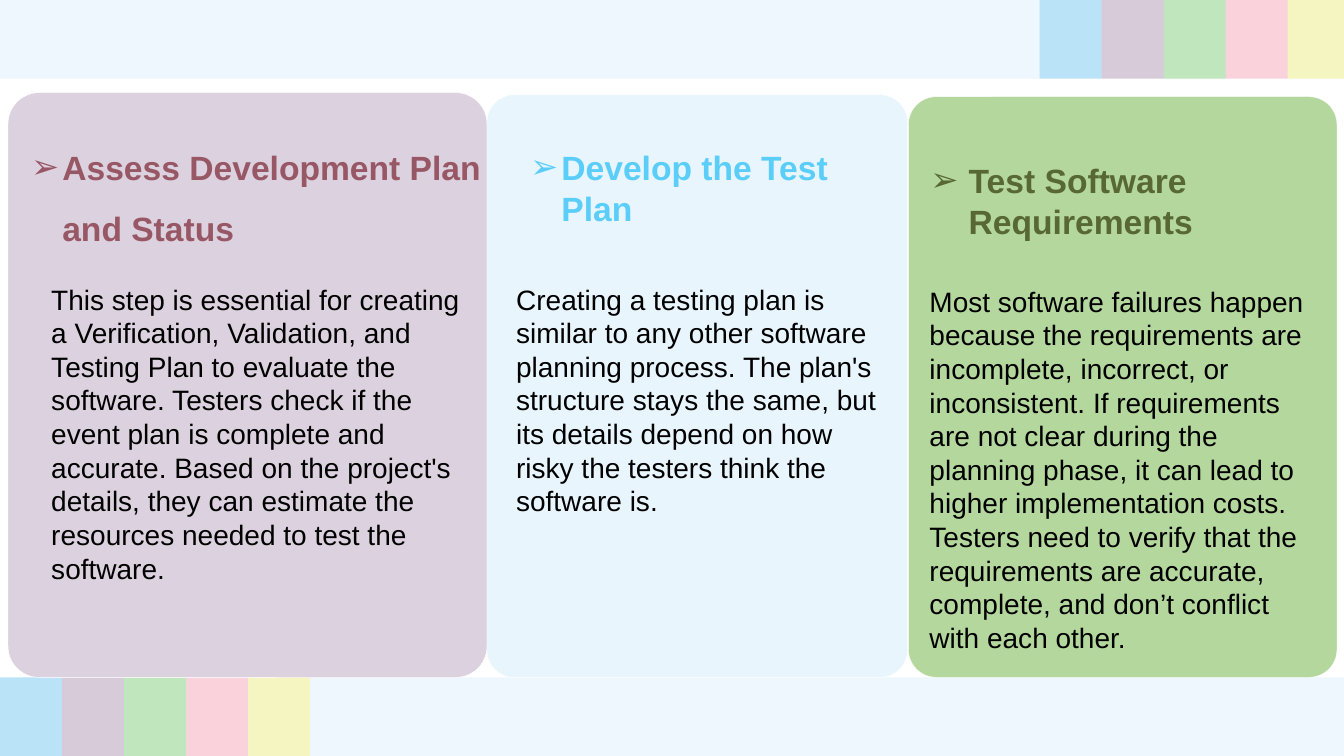
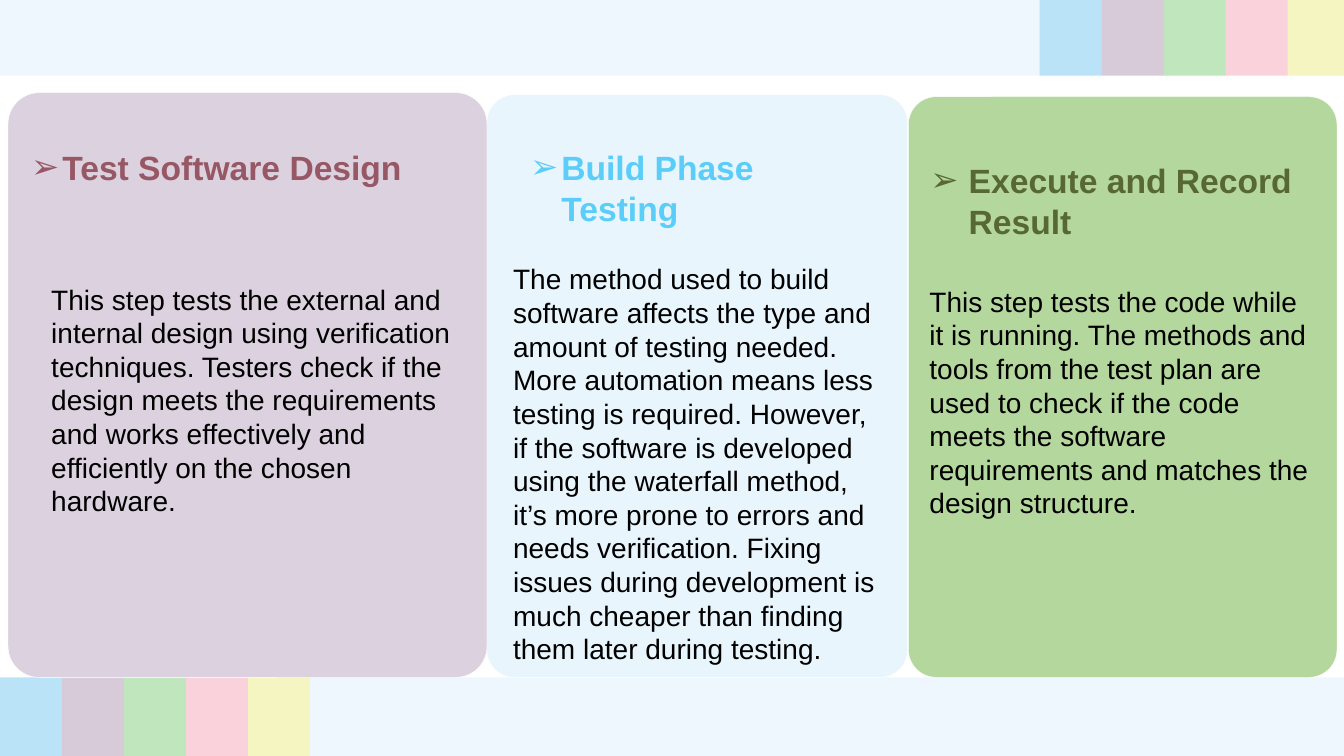
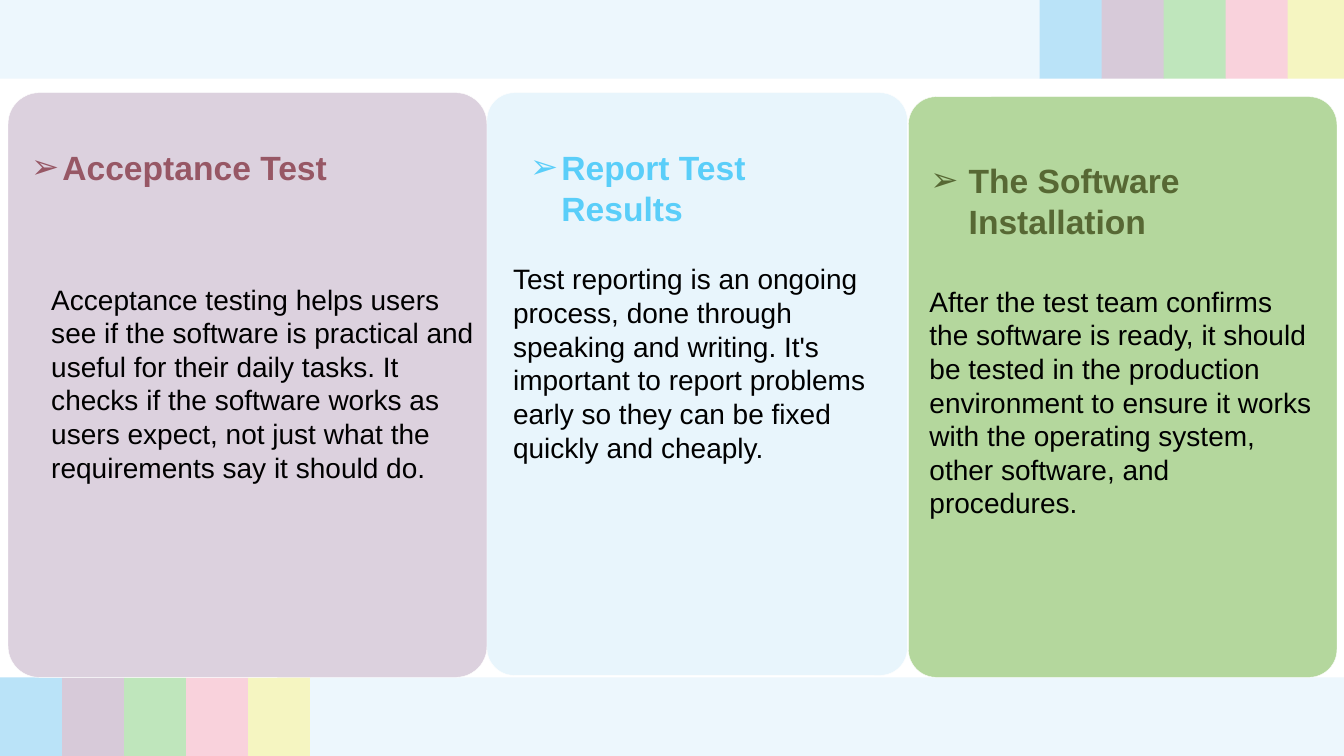
from pptx import Presentation
from pptx.dml.color import RGBColor
from pptx.enum.shapes import MSO_SHAPE
from pptx.enum.text import MSO_AUTO_SIZE
from pptx.oxml.ns import qn
from pptx.util import Inches, Pt
from lxml import etree

RECTANGLE = MSO_SHAPE.RECTANGLE
ROUNDED = MSO_SHAPE.ROUNDED_RECTANGLE
GROW = MSO_AUTO_SIZE.SHAPE_TO_FIT_TEXT

# Colours
WHITE = RGBColor(0xFF, 0xFF, 0xFF)
BLACK = RGBColor(0x00, 0x00, 0x00)
ICE = RGBColor(0xED, 0xF7, 0xFD)
SKY = RGBColor(0xBA, 0xE3, 0xF8)
LILAC = RGBColor(0xD7, 0xCA, 0xD9)
MINT = RGBColor(0xBF, 0xE6, 0xBC)
PINK = RGBColor(0xF9, 0xD2, 0xDC)
CREAM = RGBColor(0xF5, 0xF5, 0xC1)
PALE_BLUE = RGBColor(0xE4, 0xF4, 0xFC)
GREEN = RGBColor(0xA8, 0xD0, 0x8C)
MAROON = RGBColor(0x97, 0x57, 0x65)
BRIGHT_BLUE = RGBColor(0x5A, 0xCE, 0xF9)
OLIVE = RGBColor(0x57, 0x68, 0x34)

# Bands
STRIPES = (SKY, LILAC, MINT, PINK, CREAM)
STRIPE_WIDTH = 0.62
STRIPE_STEP = 0.615
BAND_HEIGHT = 0.78
BAND_WIDTH = 10.31
BOTTOM_BAND = 6.72

# Columns: card, heading and body boxes as left, top, width, height
COLUMNS = (
    dict(card=(0.08, 0.92, 4.75, 5.8), fill=LILAC,
         heading=(0.21, 1.21, 4.92, 1.31), color=MAROON, indent=0.31, spacing=1.5,
         body=(0.41, 2.75, 4.42, 3.13)),
    dict(card=(4.83, 0.94, 4.17, 5.78), fill=PALE_BLUE,
         heading=(5.16, 1.41, 3.57, 0.91), color=BRIGHT_BLUE, indent=0.31, spacing=None,
         body=(4.99, 2.55, 3.92, 3.13)),
    dict(card=(9.01, 0.96, 4.25, 5.76), fill=GREEN,
         heading=(9.13, 1.54, 4.06, 0.91), color=OLIVE, indent=0.38, spacing=None,
         body=(9.12, 2.77, 4.01, 3.8)),
)

# Slides: three (heading, body) pairs, and what differs from the usual places
PAGES = (
    dict(
        steps=(
            ("Assess Development Plan and Status",
             "This step is essential for creating a Verification, Validation, and Testing "
             "Plan to evaluate the software. Testers check if the event plan is complete and "
             "accurate. Based on the project's details, they can estimate the resources "
             "needed to test the software."),
            ("Develop the Test Plan",
             "Creating a testing plan is similar to any other software planning process. The "
             "plan's structure stays the same, but its details depend on how risky the "
             "testers think the software is."),
            ("Test Software Requirements",
             "Most software failures happen because the requirements are incomplete, "
             "incorrect, or inconsistent. If requirements are not clear during the planning "
             "phase, it can lead to higher implementation costs. Testers need to verify that "
             "the requirements are accurate, complete, and don’t conflict with each other."),
        ),
        middle=dict(body=(5.02, 2.75, 3.92, 3.13)),
    ),
    dict(
        steps=(
            ("Test Software Design",
             "This step tests the external and internal design using verification "
             "techniques. Testers check if the design meets the requirements and works "
             "effectively and efficiently on the chosen hardware."),
            ("Build Phase Testing",
             "The method used to build software affects the type and amount of testing "
             "needed. More automation means less testing is required. However, if the "
             "software is developed using the waterfall method, it’s more prone to errors "
             "and needs verification. Fixing issues during development is much cheaper than "
             "finding them later during testing."),
            ("Execute and Record Result",
             "This step tests the code while it is running. The methods and tools from the "
             "test plan are used to check if the code meets the software requirements and "
             "matches the design structure."),
        ),
        band_top=-0.03,
    ),
    dict(
        steps=(
            ("Acceptance Test",
             "Acceptance testing helps users see if the software is practical and useful for "
             "their daily tasks. It checks if the software works as users expect, not just "
             "what the requirements say it should do."),
            ("Report Test Results",
             "Test reporting is an ongoing process, done through speaking and writing. It's "
             "important to report problems early so they can be fixed quickly and cheaply."),
            ("The Software Installation",
             "After the test team confirms the software is ready, it should be tested in the "
             "production environment to ensure it works with the operating system, other "
             "software, and procedures."),
        ),
        middle=dict(card=(4.83, 0.92, 4.17, 5.78)),
    ),
)


class Builder:
    """Holds the deck, its style and the current page."""

    font = "Arial"

    def __init__(self):
        self.deck = Presentation()
        self.deck.slide_width = Inches(13.33)
        self.deck.slide_height = Inches(7.5)
        self.page = None

    def new_page(self):
        self.page = self.deck.slides.add_slide(self.deck.slide_layouts[6])

    def shape(self, place, fill, kind=RECTANGLE, shapes=None):
        shapes = self.page.shapes if shapes is None else shapes
        shape = shapes.add_shape(kind, *map(Inches, place))
        shape.shadow.inherit = False
        shape.fill.solid()
        shape.fill.fore_color.rgb = fill
        shape.line.fill.background()
        return shape

    def band(self, top, stripes_left, plain_left):
        """One group: five pastel stripes and a plain strip."""
        shapes = self.page.shapes.add_group_shape().shapes
        for index, color in enumerate(STRIPES):
            left = stripes_left + index * STRIPE_STEP
            self.shape((left, top, STRIPE_WIDTH, BAND_HEIGHT), color, shapes=shapes)
        self.shape((plain_left, top, BAND_WIDTH, BAND_HEIGHT), ICE, shapes=shapes)

    def card(self, place, fill):
        card = self.shape(place, fill, ROUNDED)
        card.adjustments[0] = 0.065
        card.line.color.rgb = WHITE
        card.line.width = Pt(0.25)
        # Slight transparency
        color = card.fill._xPr.find(qn("a:solidFill"))[0]
        etree.SubElement(color, qn("a:alpha")).set("val", "85000")

    def text(self, text, place, size=20, color=BLACK, bold=False, indent=None, spacing=None):
        box = self.page.shapes.add_textbox(*map(Inches, place))
        frame = box.text_frame
        frame.word_wrap = True
        frame.auto_size = GROW
        para = frame.paragraphs[0]
        if spacing:
            para.line_spacing = spacing
        if indent:
            self.bullet(para, indent)
        span = para.add_run()
        span.text = text
        span.font.name = self.font
        span.font.size = Pt(size)
        span.font.bold = bold
        span.font.color.rgb = color

    def bullet(self, para, indent):
        """Arrow bullet with a hanging indent."""
        props = para._p.get_or_add_pPr()
        props.set("marL", str(Inches(indent)))
        props.set("indent", str(-Inches(indent)))
        etree.SubElement(props, qn("a:buFont")).set("typeface", self.font)
        etree.SubElement(props, qn("a:buChar")).set("char", "➢")

    def save(self):
        self.deck.save("out.pptx")


def main():
    builder = Builder()
    for content in PAGES:
        builder.new_page()
        builder.band(content.get("band_top", 0), BAND_WIDTH, 0)
        builder.band(BOTTOM_BAND, 0, len(STRIPES) * STRIPE_STEP)

        left, middle, right = COLUMNS
        columns = (left, {**middle, **content.get("middle", {})}, right)
        for column in columns:
            builder.card(column["card"], column["fill"])
        for column, (heading, body) in zip(columns, content["steps"]):
            builder.text(heading, column["heading"], size=24, color=column["color"],
                         bold=True, indent=column["indent"], spacing=column["spacing"])
            builder.text(body, column["body"])
    builder.save()


if __name__ == "__main__":
    main()
